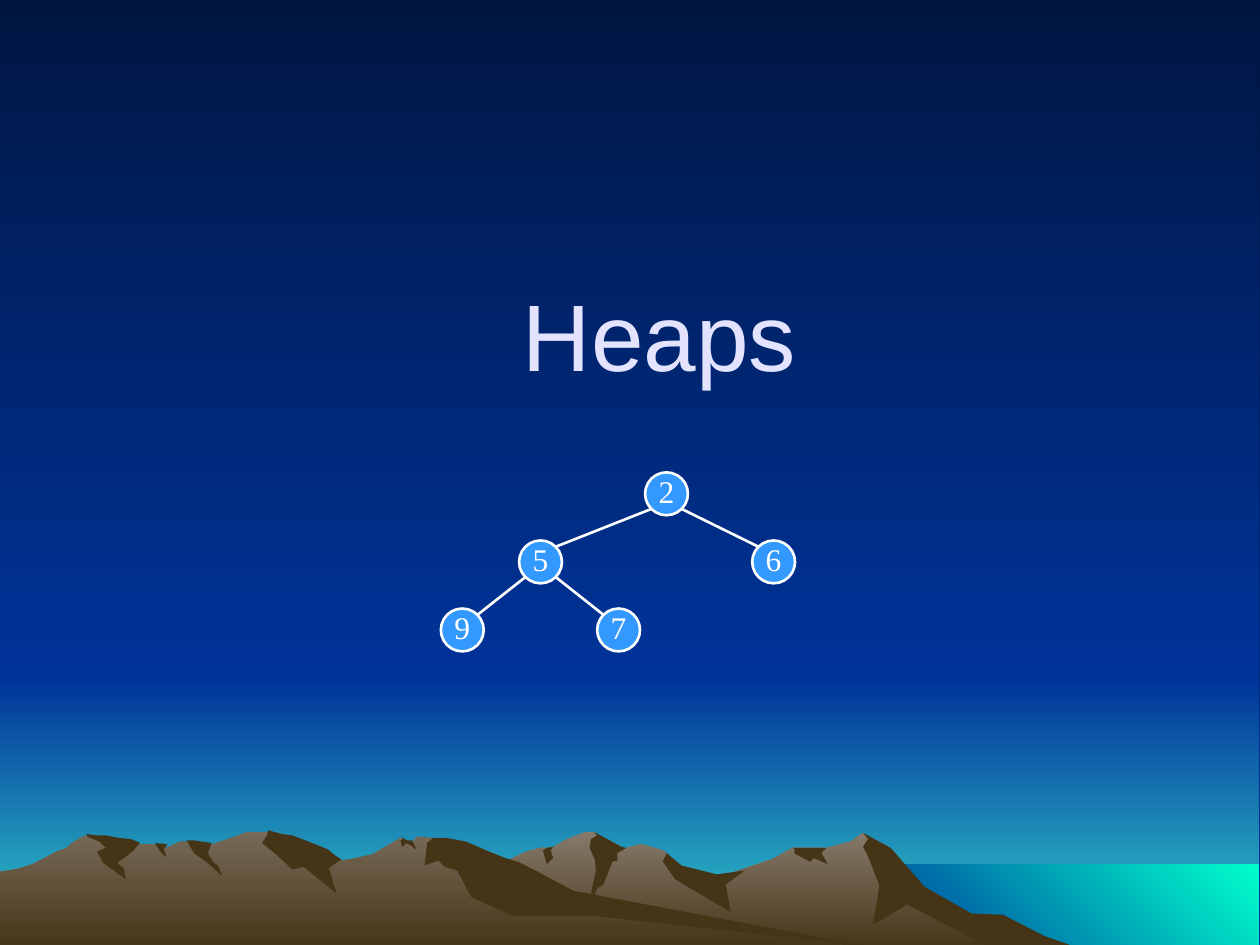
from dataclasses import dataclass
from math import sqrt

from lxml.etree import SubElement
from pptx import Presentation
from pptx.dml.color import RGBColor as Rgb
from pptx.enum.shapes import MSO_CONNECTOR as Connector, MSO_SHAPE as Shape
from pptx.enum.text import MSO_ANCHOR as Anchor, MSO_AUTO_SIZE as AutoSize, PP_ALIGN as Align
from pptx.oxml.ns import qn
from pptx.util import Pt


@dataclass(frozen=True)
class Theme:
    night: str = "001642"
    sky: str = "003399"
    horizon: str = "33CCCC"
    sea: str = "00FFCC"
    front_rock: str = "857A6C"
    back_rock: str = "766A58"
    earth: str = "463416"
    title: str = "E3E3FF"
    node: str = "3399FF"
    line: str = "FFFFFF"
    title_font: str = "Arial"
    node_font: str = "Times New Roman"
    title_size: float = 54
    node_size: float = 18
    line_width: float = 1.5


UNIT = 0.72  # points per step of the landscape grid
NODE_SIZE = 24.5
DOWN, UP_RIGHT = 270, 45

FRONT_RANGE = [
    (802, 741), (778, 728), (764, 725), (723, 699), (701, 673), (685, 661), (675, 668),
    (656, 673), (629, 673), (613, 682), (566, 698), (536, 691), (529, 677), (526, 675),
    (509, 670), (497, 673), (485, 675), (474, 662), (471, 660), (465, 660), (450, 666),
    (438, 673), (429, 673), (418, 676), (405, 682), (394, 687), (355, 699), (327, 711),
    (277, 740), (258, 753), (821, 753),
]
FRONT_SHADOWS = [
    [(796, 726), (771, 725), (734, 704), (707, 673), (685, 661), (689, 666), (685, 672),
     (690, 682), (698, 703), (693, 734), (720, 718), (788, 753), (858, 753), (829, 743)],
    [(471, 660), (474, 663), (469, 666), (468, 673), (472, 682), (473, 691), (465, 728),
     (474, 705), (479, 702), (486, 684), (490, 683), (490, 677), (497, 673), (493, 672)],
    [(529, 677), (528, 680), (526, 684), (536, 698), (580, 724), (576, 702), (591, 691),
     (569, 694), (541, 687)],
    [(649, 673), (630, 673), (631, 676), (630, 677), (643, 684), (646, 681), (657, 686),
     (652, 677), (656, 673)],
    [(432, 679), (431, 675), (434, 673), (439, 672), (437, 675), (439, 681), (434, 686)],
]
BACK_RANGE = [
    (690, 753), (667, 750), (432, 714), (354, 666), (331, 664), (327, 669), (323, 669),
    (318, 665), (296, 678), (279, 682), (271, 683), (259, 678), (235, 682), (223, 664),
    (219, 662), (212, 660), (196, 660), (189, 663), (178, 667), (160, 673), (148, 668),
    (143, 668), (132, 673), (127, 673), (122, 670), (111, 670), (94, 673), (67, 663),
    (56, 670), (53, 673), (45, 676), (26, 686), (13, 690), (0, 692), (0, 753),
]
BACK_SHADOWS = [
    [(212, 663), (208, 669), (219, 678), (232, 690), (241, 688), (267, 709), (261, 689),
     (271, 682), (266, 679), (260, 674), (245, 668), (232, 663), (224, 662), (213, 659)],
    [(370, 668), (354, 665), (344, 665), (339, 669), (337, 687), (348, 683), (353, 688),
     (363, 691), (374, 712), (407, 727), (472, 727), (690, 751), (683, 750), (455, 707),
     (427, 692), (411, 684), (401, 681), (386, 675)],
    [(318, 667), (320, 666), (318, 664), (323, 667), (327, 667), (330, 673), (330, 674),
     (326, 671), (322, 669), (321, 671), (319, 672)],
    [(154, 667), (161, 668), (168, 669), (165, 677), (169, 684), (173, 687), (176, 694),
     (176, 695), (165, 685), (154, 677), (148, 667)],
    [(133, 670), (130, 674), (132, 679), (132, 680), (129, 678), (126, 674), (123, 669)],
    [(109, 668), (111, 669), (105, 676), (93, 685), (98, 689), (100, 698), (82, 685),
     (77, 676), (84, 673), (79, 668), (69, 664), (69, 662), (77, 663), (84, 663),
     (94, 665), (104, 666)],
]

# Centre of each heap node, keyed by its value
LEVELS = [282.2 + 38.9 * depth for depth in range(3)]
HEAP_NODES = {
    2: (380.9, LEVELS[0]),
    6: (442.1, LEVELS[1]),
    5: (308.9, LEVELS[1]),
    7: (353.5, LEVELS[2]),
    9: (264.2, LEVELS[2]),
}
HEAP_EDGES = [(2, 5), (2, 6), (5, 9), (5, 7)]


def rectangle(left, top, right, bottom):
    return [(right, bottom), (left, bottom), (left, top), (right, top)]


class SlideBuilder:
    def __init__(self, slide, theme):
        self.slide = slide
        self.theme = theme

    def gradient(self, fill, colors, angle):
        fill.gradient()
        fill.gradient_angle = angle
        for stop, color in zip(fill.gradient_stops, colors):
            stop.color.rgb = Rgb.from_string(color)

    def land(self, outline, colors, angle=DOWN):
        """Draw a closed outline; one colour fills it flat, two make a gradient."""
        pen = self.slide.shapes.build_freeform(*outline[0], scale=Pt(UNIT))
        pen.add_line_segments(outline[1:], close=True)
        shape = pen.convert_to_shape()
        shape.shadow.inherit = False
        shape.line.fill.background()
        if len(colors) == 1:
            shape.fill.solid()
            shape.fill.fore_color.rgb = Rgb.from_string(colors[0])
        else:
            self.gradient(shape.fill, colors, angle)

    def text(self, frame, content, font, size, color):
        frame.vertical_anchor = Anchor.MIDDLE
        para = frame.paragraphs[0]
        para.alignment = Align.CENTER
        span = para.add_run()
        span.text = content
        span.font.name = font
        span.font.size = Pt(size)
        span.font.color.rgb = Rgb.from_string(color)

    def title(self, content, left, top, width, height):
        """Fill the title placeholder and bring it in front of the landscape."""
        box = self.slide.shapes.title
        box.left, box.top, box.width, box.height = map(Pt, (left, top, width, height))
        box.text_frame.auto_size = AutoSize.NONE
        theme = self.theme
        self.text(box.text_frame, content, theme.title_font, theme.title_size, theme.title)
        self.slide.shapes.element.append(box.element)

    def outline(self, line):
        line.color.rgb = Rgb.from_string(self.theme.line)
        line.width = Pt(self.theme.line_width)

    def node(self, value, center):
        left, top = (Pt(middle - NODE_SIZE / 2) for middle in center)
        circle = self.slide.shapes.add_shape(Shape.OVAL, left, top, Pt(NODE_SIZE), Pt(NODE_SIZE))
        circle.shadow.inherit = False
        circle.fill.solid()
        circle.fill.fore_color.rgb = Rgb.from_string(self.theme.node)
        self.outline(circle.line)
        frame = circle.text_frame
        frame.word_wrap = False
        frame.margin_left = frame.margin_top = frame.margin_right = 0
        frame.margin_bottom = Pt(3.6)
        theme = self.theme
        self.text(frame, str(value), theme.node_font, theme.node_size, theme.line)

    def edge(self, parent, child):
        """Join the lower diagonal of the parent circle to the upper one of the child."""
        reach = NODE_SIZE / 2 / sqrt(2)
        side = reach if child[0] > parent[0] else -reach
        ends = (parent[0] + side, parent[1] + reach, child[0] - side, child[1] - reach)
        connector = self.slide.shapes.add_connector(Connector.STRAIGHT, *map(Pt, ends))
        self.outline(connector.line)
        SubElement(connector.element.spPr, qn("a:effectLst"))


def main():
    deck = Presentation()
    deck.slide_width, deck.slide_height = Pt(720), Pt(540)
    page = deck.slides.add_slide(deck.slide_layouts[5])
    theme = Theme()
    builder = SlideBuilder(page, theme)

    builder.gradient(page.background.fill, (theme.night, theme.sky), DOWN)
    builder.land(rectangle(-1, 536, 999, 752), (theme.sky, theme.horizon))
    builder.land(rectangle(-1, 2, 999, 536), (theme.night, theme.sky))
    builder.land(rectangle(683, 686, 999, 752), (theme.sky, theme.sea), UP_RIGHT)
    for mountains, rock, shadows in (
        (FRONT_RANGE, theme.front_rock, FRONT_SHADOWS),
        (BACK_RANGE, theme.back_rock, BACK_SHADOWS),
    ):
        builder.land(mountains, (rock, theme.earth))
        for shadow in shadows:
            builder.land(shadow, (theme.earth,))

    builder.title("Heaps", 87.8, 143.3, 578.2, 94.3)
    for value, center in HEAP_NODES.items():
        builder.node(value, center)
    for parent, child in HEAP_EDGES:
        builder.edge(HEAP_NODES[parent], HEAP_NODES[child])

    deck.save("out.pptx")


if __name__ == "__main__":
    main()
